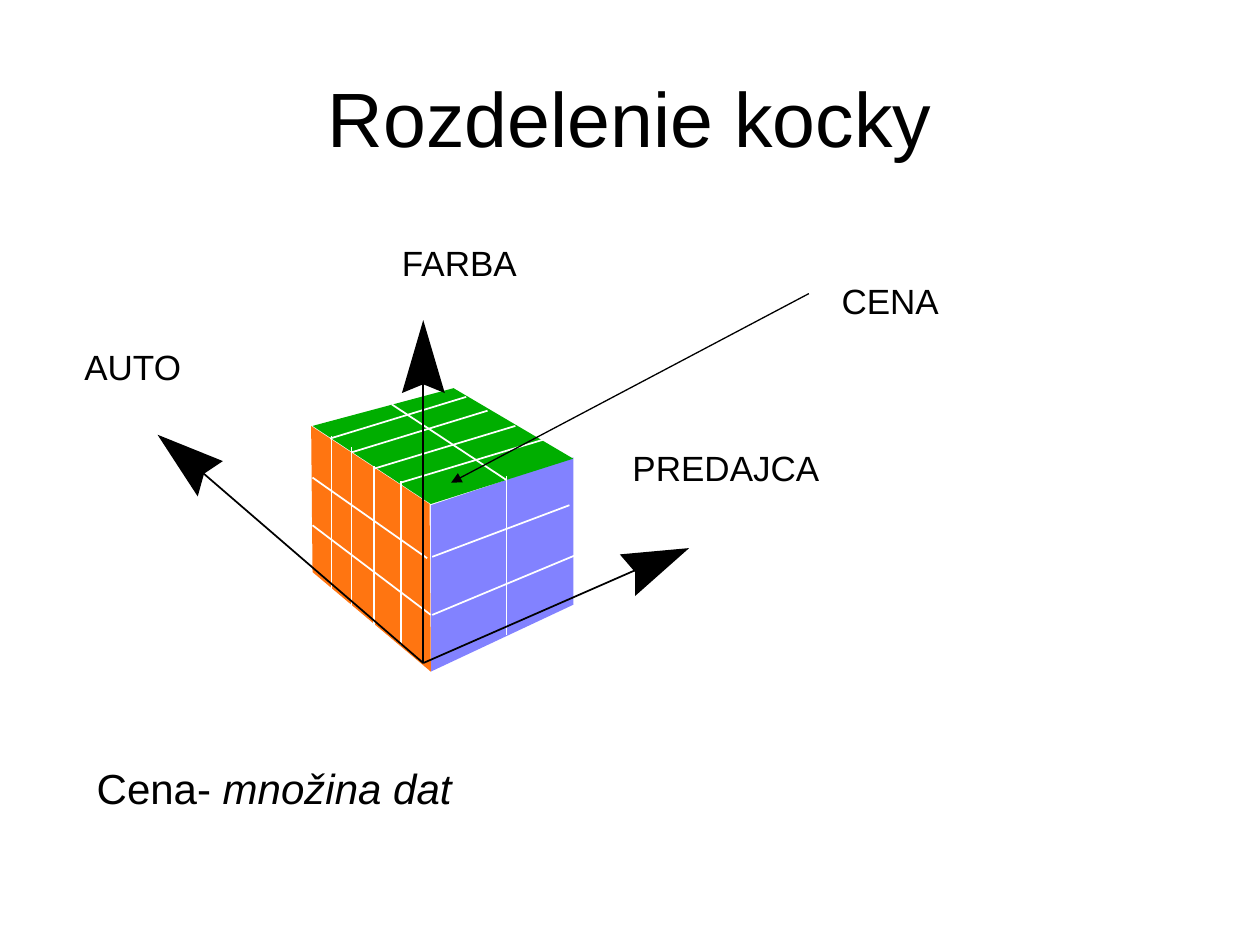
from dataclasses import dataclass

from lxml.etree import SubElement
from pptx import Presentation
from pptx.dml.color import RGBColor
from pptx.enum.shapes import MSO_CONNECTOR
from pptx.enum.text import MSO_ANCHOR, PP_ALIGN
from pptx.oxml.ns import qn
from pptx.util import Pt

BLACK = RGBColor(0x00, 0x00, 0x00)
WHITE = RGBColor(0xFF, 0xFF, 0xFF)
BLUE = RGBColor(0x82, 0x82, 0xFF)
ORANGE = RGBColor(0xFF, 0x75, 0x11)
GREEN = RGBColor(0x00, 0xAE, 0x00)
FONT = "Arial"

Point = tuple[float, float]


@dataclass
class Face:
    color: RGBColor
    corners: list[Point]


@dataclass
class Axis:
    end: Point
    head: list[Point]


@dataclass
class Label:
    text: str
    box: tuple[float, float, float, float]
    size: float = 20
    inset: tuple[float, float] = (0, 0)  # sides, top and bottom
    align: PP_ALIGN = PP_ALIGN.LEFT
    anchor: MSO_ANCHOR = MSO_ANCHOR.TOP
    italic_tail: str = ""


FACES = [
    Face(BLUE, [(246.2, 383.8), (246.2, 288.7), (327.6, 261.4), (327.6, 345.6)]),
    Face(ORANGE, [(177.8, 243.4), (178.6, 326.9), (246.2, 383.8), (245.5, 288)]),
    Face(GREEN, [(178.6, 243.4), (246.2, 288), (327.6, 262.1), (259.2, 221.8)]),
]

GRID_LINES = [
    # Orange face
    ((246.2, 351.4), (178.6, 300.2)),
    ((244.1, 319), (178.6, 272.9)),
    ((189.4, 337), (189.4, 249.1)),
    ((200.9, 346.3), (200.9, 255.6)),
    ((213.8, 357.1), (213.8, 266.4)),
    ((229, 368.6), (229, 275)),
    # Blue face
    ((247, 318.2), (325.4, 288.7)),
    ((247, 351.4), (328.3, 317.5)),
    ((289.4, 272.2), (289.4, 362.9)),
    # Green face
    ((223.9, 231.1), (289.4, 274.3)),
    ((188.6, 250.6), (266.4, 226.8)),
    ((200.9, 258.5), (278.6, 234.7)),
    ((213.8, 267.8), (294.5, 243.4)),
    ((229, 275.8), (310.3, 251.3)),
]

ORIGIN = (241.9, 378.9)
AXES = [
    Axis((367.2, 324), [(362.9, 340.6), (362.9, 326.9), (354.2, 316.8), (393.8, 313.2)]),
    Axis((112.3, 267.1), [(127.4, 263.5), (116.6, 270.7), (113, 283.7), (90, 248.4)]),
    Axis((241.9, 213.1), [(254.2, 224.6), (241.9, 219.6), (229.7, 224.6), (241.9, 182.9)]),
]

TITLE = Label("Rozdelenie kocky", (36, 21.6, 648, 90), 44, (7.2, 3.6),
              PP_ALIGN.CENTER, MSO_ANCHOR.MIDDLE)
AXIS_LABELS = [
    Label("FARBA", (229.7, 138.2, 131.8, 35.3)),
    Label("AUTO", (48.2, 197.3, 139.7, 43.2)),
    Label("PREDAJCA", (361.4, 254.9, 358.6, 43.2)),
]
NOTES = [
    Label("Cena- ", (48.2, 432, 432, 34), 24, (7.2, 3.6), italic_tail="množina dat"),
    Label("CENA", (473.8, 156.2, 144, 31.7), 20, (7.2, 3.6)),
]


def add_polygon(shapes, points: list[Point], color: RGBColor) -> None:
    corners = [(Pt(x), Pt(y)) for x, y in points]
    builder = shapes.build_freeform(*corners[0])
    builder.add_line_segments(corners[1:], close=True)
    sp = builder.convert_to_shape()
    sp.shadow.inherit = False
    sp.fill.solid()
    sp.fill.fore_color.rgb = color
    sp.line.fill.background()


def add_line(shapes, start: Point, end: Point, color: RGBColor,
             width: float = 1, arrow: bool = False) -> None:
    ends = [Pt(v) for v in (*start, *end)]
    line = shapes.add_connector(MSO_CONNECTOR.STRAIGHT, *ends)
    line.line.color.rgb = color
    line.line.width = Pt(width)
    if arrow:
        SubElement(line.line._get_or_add_ln(), qn("a:tailEnd"), type="triangle")
    SubElement(line._element.spPr, qn("a:effectLst"))


def add_label(shapes, label: Label) -> None:
    tf = shapes.add_textbox(*[Pt(v) for v in label.box]).text_frame
    tf.word_wrap = True
    tf.vertical_anchor = label.anchor
    side, edge = label.inset
    tf.margin_left = tf.margin_right = Pt(side)
    tf.margin_top = tf.margin_bottom = Pt(edge)
    p = tf.paragraphs[0]
    p.text = label.text
    p.alignment = label.align
    if label.italic_tail:
        r = p.add_run()
        r.text = label.italic_tail
        r.font.italic = True
    for r in p.runs:
        r.font.name = FONT
        r.font.size = Pt(label.size)
        r.font.color.rgb = BLACK


def main() -> None:
    prs = Presentation()
    prs.slide_width, prs.slide_height = Pt(720), Pt(540)
    s = prs.slides.add_slide(prs.slide_layouts[6])

    add_label(s.shapes, TITLE)

    # Cube with its grid, axes and axis labels
    cube = s.shapes.add_group_shape().shapes
    for face in FACES:
        add_polygon(cube, face.corners, face.color)
    for start, end in GRID_LINES:
        add_line(cube, start, end, WHITE)
    for axis in AXES:
        add_line(cube, ORIGIN, axis.end, BLACK)
        add_polygon(cube, axis.head, BLACK)
    for label in AXIS_LABELS:
        add_label(cube, label)

    # Price pointer and notes
    add_line(s.shapes, (462.2, 167.8), (257.8, 275.8), BLACK, 0.75, arrow=True)
    for label in NOTES:
        add_label(s.shapes, label)

    prs.save("out.pptx")


if __name__ == "__main__":
    main()
